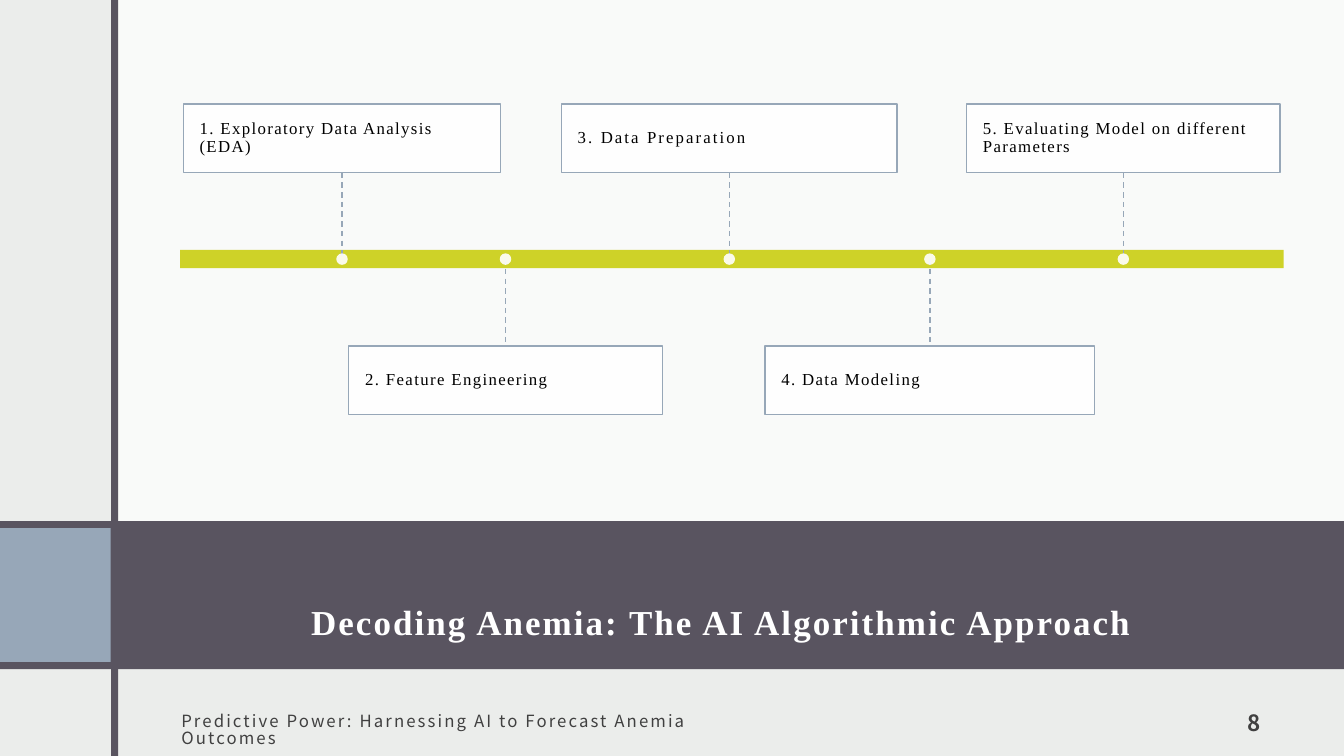
from pptx import Presentation
from pptx.dml.color import RGBColor
from pptx.enum.dml import MSO_LINE
from pptx.enum.shapes import MSO_CONNECTOR, MSO_SHAPE
from pptx.enum.text import MSO_ANCHOR, PP_ALIGN
from pptx.oxml.ns import qn
from pptx.util import Cm, Pt
from lxml.etree import SubElement

WHITE = RGBColor(0xFF, 0xFF, 0xFF)
BLACK = RGBColor(0, 0, 0)
GREY = RGBColor(0x40, 0x40, 0x40)
PALE = RGBColor(0xEB, 0xED, 0xEB)
PLUM = RGBColor(0x59, 0x54, 0x60)
BLUE = RGBColor(0x97, 0xA7, 0xB8)
LIME = RGBColor(0xCE, 0xD2, 0x28)
SERIF, SANS = "Times New Roman", "Noto Sans CJK JP"

TITLE = "Decoding Anemia: The AI Algorithmic Approach"
FOOTER = "Predictive Power: Harnessing AI to Forecast Anemia Outcomes"
PAGE_NUMBER = "8"
# text, left, width, letter spacing; steps alternate above and below the bar
STEPS = [
    ("1. Exploratory Data Analysis (EDA)", 4.62, 8.0, 1),
    ("2. Feature Engineering", 8.79, 7.9, 1),
    ("3. Data Preparation", 14.15, 8.46, 1.5),
    ("4. Data Modeling", 19.28, 8.31, 1),
    ("5. Evaluating Model on different Parameters", 24.36, 7.9, 1),
]

# All lengths in centimetres
WIDTH, HEIGHT = 33.87, 19.05
BAND_TOP, BAND_HEIGHT = 13.13, 3.73
PANEL_LEFT, GAP = 2.9, 0.18
BAR_TOP, BAR_HEIGHT = 6.3, 0.46
BAR_MIDDLE = BAR_TOP + BAR_HEIGHT / 2
BOX_TOPS, BOX_HEIGHT = (2.62, 8.72), 1.73
DOT = 0.29
TEXT_LEFT = 4.27
STEP_INSETS = (0.41, 0.1, 0.41, 0.1)
PAGE_INSETS = (0.3, 0.3, 0.3, 0.25)

presentation = Presentation()
presentation.slide_width, presentation.slide_height = Cm(WIDTH), Cm(HEIGHT)
slide = presentation.slides.add_slide(presentation.slide_layouts[6])
slide.background.fill.solid()
slide.background.fill.fore_color.rgb = PALE


def add_block(left, top, width, height, color, opacity=100, kind=MSO_SHAPE.RECTANGLE):
    shape = slide.shapes.add_shape(kind, Cm(left), Cm(top), Cm(width), Cm(height))
    shape.shadow.inherit = False
    shape.fill.solid()
    shape.fill.fore_color.rgb = color
    shape.line.fill.background()
    if opacity < 100:
        color_element = shape.fill._xPr.find(qn("a:solidFill"))[0]
        SubElement(color_element, qn("a:alpha")).set("val", str(opacity * 1000))
    return shape


def write(shape, text, font_name, size, color, spacing, insets, anchor,
          align=PP_ALIGN.LEFT, line_spacing=1.0, bold=False):
    frame = shape.text_frame
    frame.word_wrap = True
    frame.vertical_anchor = anchor
    (frame.margin_left, frame.margin_top,
     frame.margin_right, frame.margin_bottom) = map(Cm, insets)
    paragraph = frame.paragraphs[0]
    run = paragraph.add_run()
    run.text = text
    run._r.get_or_add_rPr().set("spc", str(int(spacing * 100)))
    paragraph.alignment = align
    paragraph.line_spacing = line_spacing
    font = paragraph.font
    font.name, font.size, font.bold = font_name, Pt(size), bold
    font.color.rgb = color


def add_text(left, top, width, height, *args, **options):
    box = slide.shapes.add_textbox(Cm(left), Cm(top), Cm(width), Cm(height))
    write(box, *args, **options)


def add_dashed_line(x, top, bottom):
    line = slide.shapes.add_connector(
        MSO_CONNECTOR.STRAIGHT, Cm(x), Cm(top), Cm(x), Cm(bottom))
    line.line.color.rgb = BLUE
    line.line.width = Pt(1)
    line.line.dash_style = MSO_LINE.DASH
    SubElement(line._element.spPr, qn("a:effectLst"))


# Frame of the page
add_block(PANEL_LEFT, 0, WIDTH - PANEL_LEFT, BAND_TOP, WHITE, 75)
add_block(0, BAND_TOP, WIDTH, BAND_HEIGHT, PLUM)
add_block(0, BAND_TOP + GAP, 2.79, BAND_HEIGHT - 2 * GAP, BLUE)
add_block(2.8, 0, GAP, HEIGHT, PLUM)

add_text(TEXT_LEFT, 13.94, 27.81, 2.87, TITLE, SERIF, 25, WHITE, 1.5, PAGE_INSETS,
         MSO_ANCHOR.MIDDLE, PP_ALIGN.CENTER, 1.5, True)
add_text(TEXT_LEFT, 17.5, 13.74, 1.8, FOOTER, SANS, 12, GREY, 1.5, PAGE_INSETS,
         MSO_ANCHOR.MIDDLE, line_spacing=0.82)
add_text(29.36, 17.53, 2.72, 1.27, PAGE_NUMBER, SANS, 16, GREY, 1.5, PAGE_INSETS,
         MSO_ANCHOR.BOTTOM, PP_ALIGN.RIGHT, bold=True)

# Timeline
add_block(4.54, BAR_TOP, 27.81, BAR_HEIGHT, LIME)
for index, (text, left, width, spacing) in enumerate(STEPS):
    below = index % 2
    top = BOX_TOPS[below]
    center = left + width / 2
    if below:
        add_dashed_line(center, BAR_MIDDLE, top)
    else:
        add_dashed_line(center, top + BOX_HEIGHT, BAR_MIDDLE)
    box = add_block(left, top, width, BOX_HEIGHT, WHITE, 90)
    box.line.color.rgb = BLUE
    box.line.width = Pt(1)
    write(box, text, SERIF, 12, BLACK, spacing, STEP_INSETS,
          MSO_ANCHOR.MIDDLE, line_spacing=0.9)
    add_block(center - DOT / 2, BAR_MIDDLE - DOT / 2, DOT, DOT, WHITE, 90, MSO_SHAPE.OVAL)

presentation.save("out.pptx")
